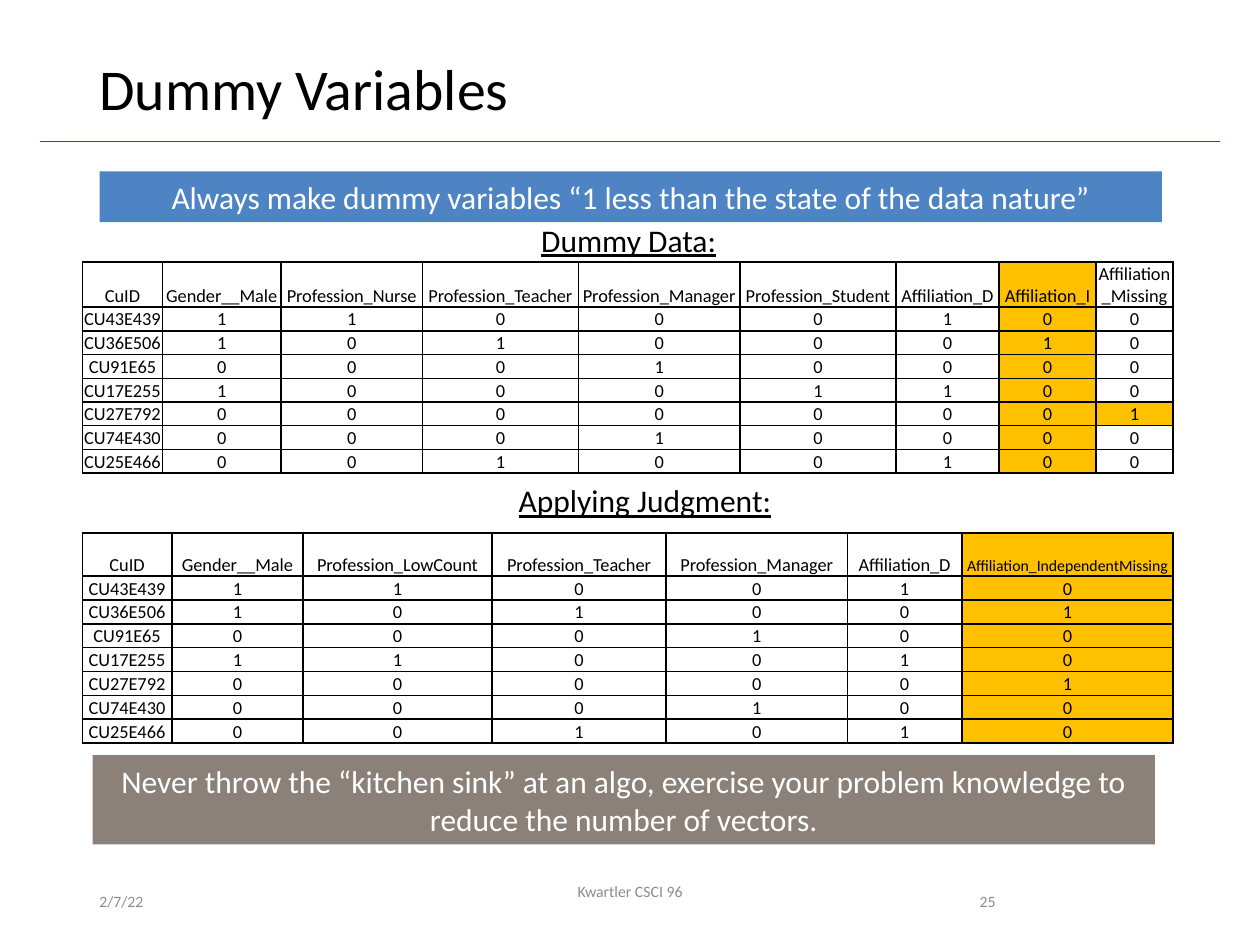
from lxml import etree
from pptx import Presentation
from pptx.dml.color import RGBColor
from pptx.enum.shapes import MSO_CONNECTOR, MSO_SHAPE
from pptx.enum.text import MSO_ANCHOR, MSO_AUTO_SIZE, PP_ALIGN
from pptx.oxml import parse_xml
from pptx.oxml.ns import nsdecls, qn
from pptx.util import Pt

LINE, RECT = MSO_CONNECTOR.STRAIGHT, MSO_SHAPE.RECTANGLE
TOP, MID, LOW = MSO_ANCHOR.TOP, MSO_ANCHOR.MIDDLE, MSO_ANCHOR.BOTTOM
LEFT, CENTER, RIGHT = PP_ALIGN.LEFT, PP_ALIGN.CENTER, PP_ALIGN.RIGHT
GROW, FIXED = MSO_AUTO_SIZE.SHAPE_TO_FIT_TEXT, MSO_AUTO_SIZE.NONE

GOLD, BLUE, TAUPE, GRAY = "FFC000", "4E84C4", "8C8179", "8C8C8C"
BLACK, WHITE, RED = "000000", "FFFFFF", "A51C30"

CASES = ["CU43E439", "CU36E506", "CU91E65", "CU17E255",
         "CU27E792", "CU74E430", "CU25E466"]
DUMMY = {
    "heads": ["CuID", "Gender__Male", "Profession_Nurse", "Profession_Teacher",
              "Profession_Manager", "Profession_Student", "Affiliation_D",
              "Affiliation_I", "Affiliation_Missing"],
    "bits": ["11000100", "10100010", "00010000", "10001100",
             "00000001", "00010000", "00100100"],
    "cols": [46, 67.5, 81, 89, 92.5, 89, 59, 55.5, 43.8],
    "rows": [25.8] + [13.55] * 7,
    "gold": {(row, 7) for row in range(8)} | {(5, 8)},
    "sizes": {},
}
JUDGED = {
    "heads": ["CuID", "Gender__Male", "Profession_LowCount",
              "Profession_Teacher", "Profession_Manager", "Affiliation_D",
              "Affiliation_IndependentMissing"],
    "bits": ["110010", "101001", "000100", "110010",
             "000001", "000100", "001010"],
    "cols": [51.2, 75, 108, 99.5, 103.5, 65.5, 120.6],
    "rows": [24.6] + [13.65] * 7,
    "gold": {(row, 6) for row in range(8)},
    "sizes": {(0, 6): 9},
}


def tint(code):
    """Turn a hex string into a colour."""
    return RGBColor.from_string(code)


def assign(item, values):
    """Set the attributes of an item from a dict."""
    for name, value in values.items():
        setattr(item, name, value)


def write(frame, text, size, color, align=LEFT, under=None):
    """Put one formatted paragraph into a text frame."""
    para = frame.paragraphs[0]
    para.alignment = align
    run = para.add_run()
    run.text = text
    assign(run.font, {"name": "Calibri", "size": Pt(size), "underline": under})
    run.font.color.rgb = tint(color)


def add_head(slide, box, text):
    """Place the title in its box and the rule below it."""
    title = slide.shapes.title
    assign(title, dict(zip(("left", "top", "width", "height"), map(Pt, box))))
    assign(title.text_frame, {"vertical_anchor": MID, "auto_size": FIXED})
    write(title.text_frame, text, 33, BLACK)
    title.text_frame.paragraphs[0].line_spacing = 0.9
    y = Pt(box[1] + box[3] + 5)
    rule = slide.shapes.add_connector(LINE, Pt(23), y, Pt(697), y)
    rule.line.width = Pt(0.5)
    rule.line.color.rgb = tint(RED)
    etree.SubElement(rule._element.spPr, qn("a:effectLst"))


def add_banner(slide, box, text, fill):
    """Place a filled bar with centred white text."""
    bar = slide.shapes.add_shape(RECT, *map(Pt, box))
    bar.shadow.inherit = False
    bar.fill.solid()
    bar.fill.fore_color.rgb = tint(fill)
    bar.line.fill.background()
    assign(bar.text_frame, {"word_wrap": True, "auto_size": GROW,
                            "vertical_anchor": MID})
    write(bar.text_frame, text, 18, WHITE, CENTER)


def add_label(slide, box, text):
    """Place an underlined table heading."""
    frame = slide.shapes.add_textbox(*map(Pt, box)).text_frame
    assign(frame, {"word_wrap": False, "auto_size": GROW})
    write(frame, text, 18, BLACK, under=True)


def add_edges(cell):
    """Draw black borders on the four sides of a cell."""
    props = cell._tc.get_or_add_tcPr()
    for spot, side in enumerate(("lnL", "lnR", "lnT", "lnB")):
        props.insert(spot, parse_xml(
            f'<a:{side} {nsdecls("a")} w="12700"><a:solidFill>'
            f'<a:srgbClr val="{BLACK}"/></a:solidFill></a:{side}>'))


def add_grid(slide, left, top, data):
    """Place a table of cases and their binary columns."""
    cols, rows = data["cols"], data["rows"]
    box = left, top, sum(cols), sum(rows)
    table = slide.shapes.add_table(len(rows), len(cols), *map(Pt, box)).table
    assign(table, {"first_row": False, "horz_banding": False})
    for col, width in zip(table.columns, cols):
        col.width = Pt(width)
    for row, height in zip(table.rows, rows):
        row.height = Pt(height)
    lines = [[case, *bits] for case, bits in zip(CASES, data["bits"])]
    for r, line in enumerate([data["heads"], *lines]):
        for c, text in enumerate(line):
            cell = table.cell(r, c)
            assign(cell, {"vertical_anchor": LOW, "margin_left": Pt(0.5),
                          "margin_right": Pt(0.5), "margin_top": Pt(0.5),
                          "margin_bottom": 0})
            if (r, c) in data["gold"]:
                cell.fill.solid()
                cell.fill.fore_color.rgb = tint(GOLD)
            else:
                cell.fill.background()
            add_edges(cell)
            size = data["sizes"].get((r, c), 10.5)
            write(cell.text_frame, text, size, BLACK, CENTER)


def add_foot(slide, top, height):
    """Place the date, the course and the page number."""
    parts = [("2/7/22", 49.7, 162, LEFT, MID),
             ("Kwartler CSCI 96", 238.5, 243, CENTER, TOP),
             ("25", 508.5, 67.5, RIGHT, MID)]
    for text, left, width, align, anchor in parts:
        box = left, top, width, height
        frame = slide.shapes.add_textbox(*map(Pt, box)).text_frame
        assign(frame, {"word_wrap": True, "vertical_anchor": anchor})
        write(frame, text, 9, GRAY, align)


def main():
    """Build and save the slide."""
    deck = Presentation()
    assign(deck, {"slide_width": Pt(720), "slide_height": Pt(540)})
    slide = deck.slides.add_slide(deck.slide_layouts[5])
    add_head(slide, (49.5, 28.8, 621, 46.8), "Dummy Variables")
    add_banner(slide, (57, 98, 607, 29), "Always make dummy variables “1 less "
               "than the state of the data nature”", BLUE)
    add_label(slide, (302.2, 122.5, 116, 29), "Dummy Data:")
    add_grid(slide, 47, 149.7, DUMMY)
    add_label(slide, (289.3, 271.5, 165, 29), "Applying Judgment:")
    add_grid(slide, 47, 304.6, JUDGED)
    add_banner(slide, (53, 431.5, 607, 51), "Never throw the “kitchen sink” at "
               "an algo, exercise your problem knowledge to reduce the number "
               "of vectors.", TAUPE)
    add_foot(slide, 500.5, 28.8)
    deck.save("out.pptx")


if __name__ == "__main__":
    main()
